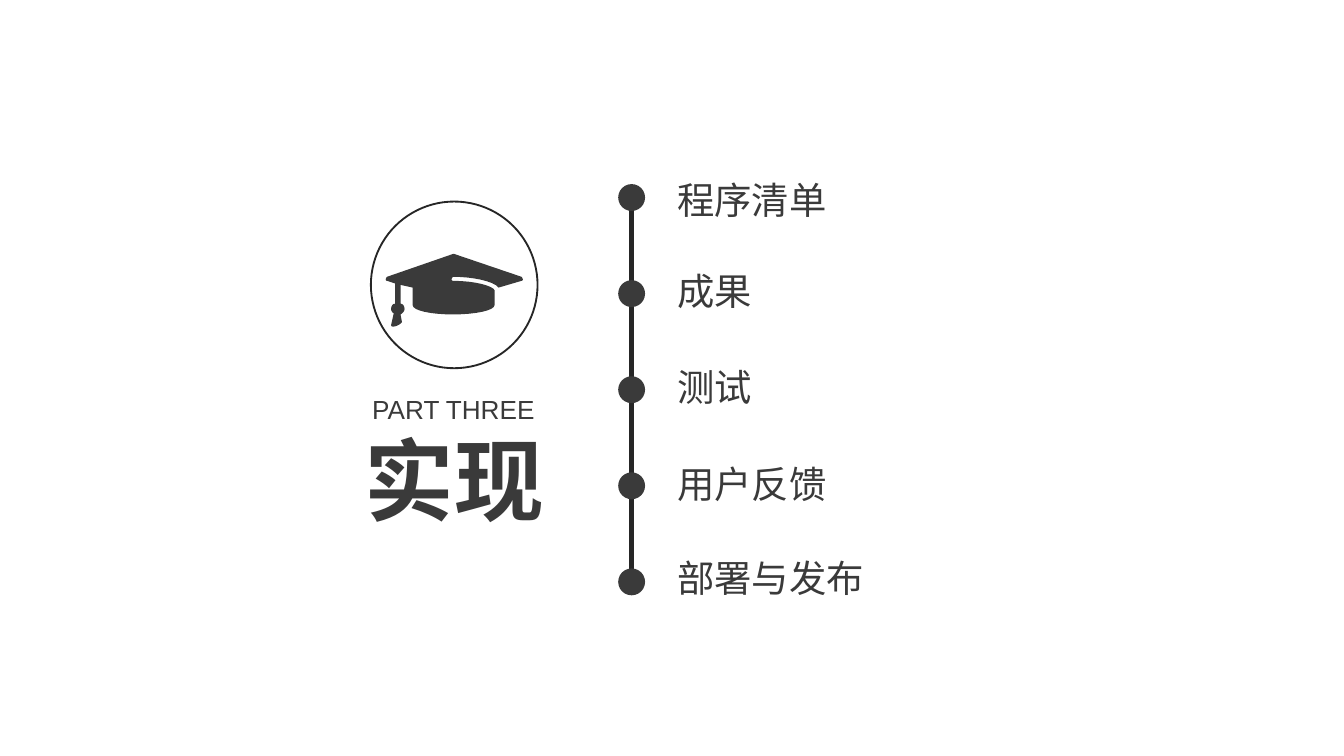
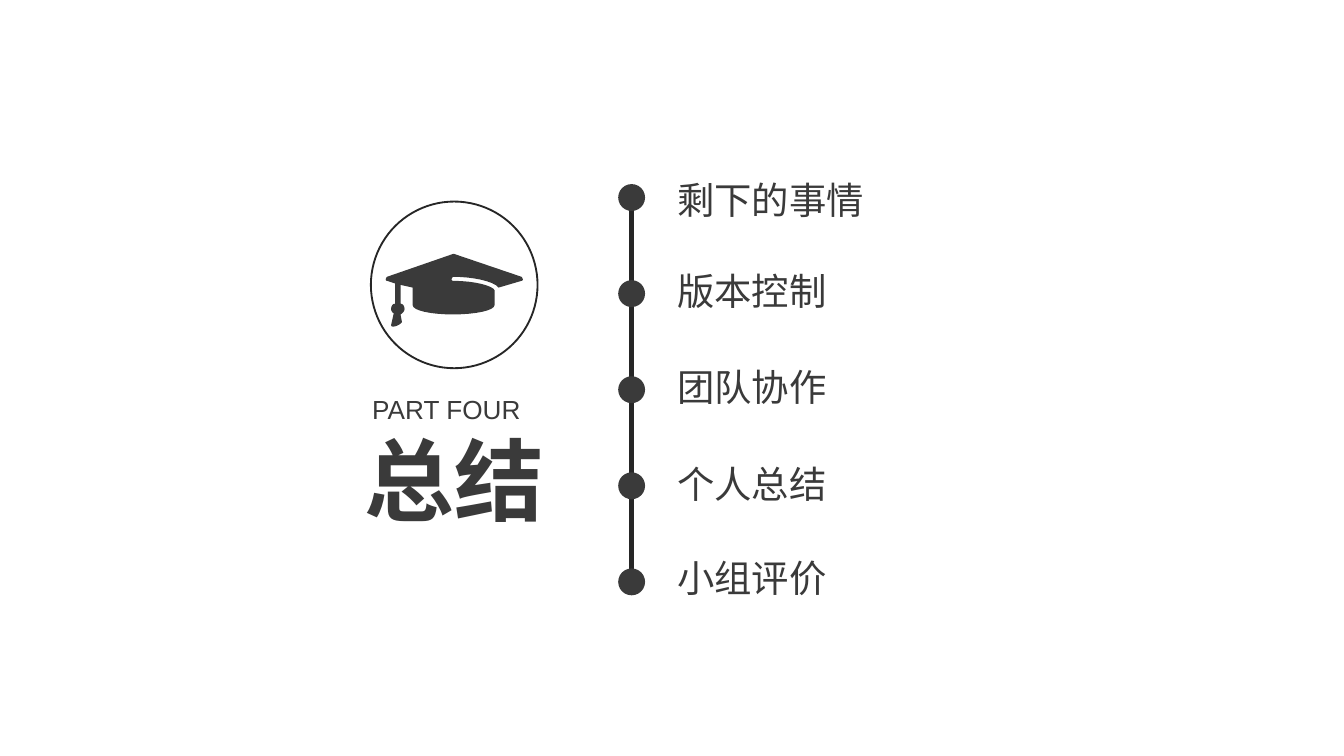
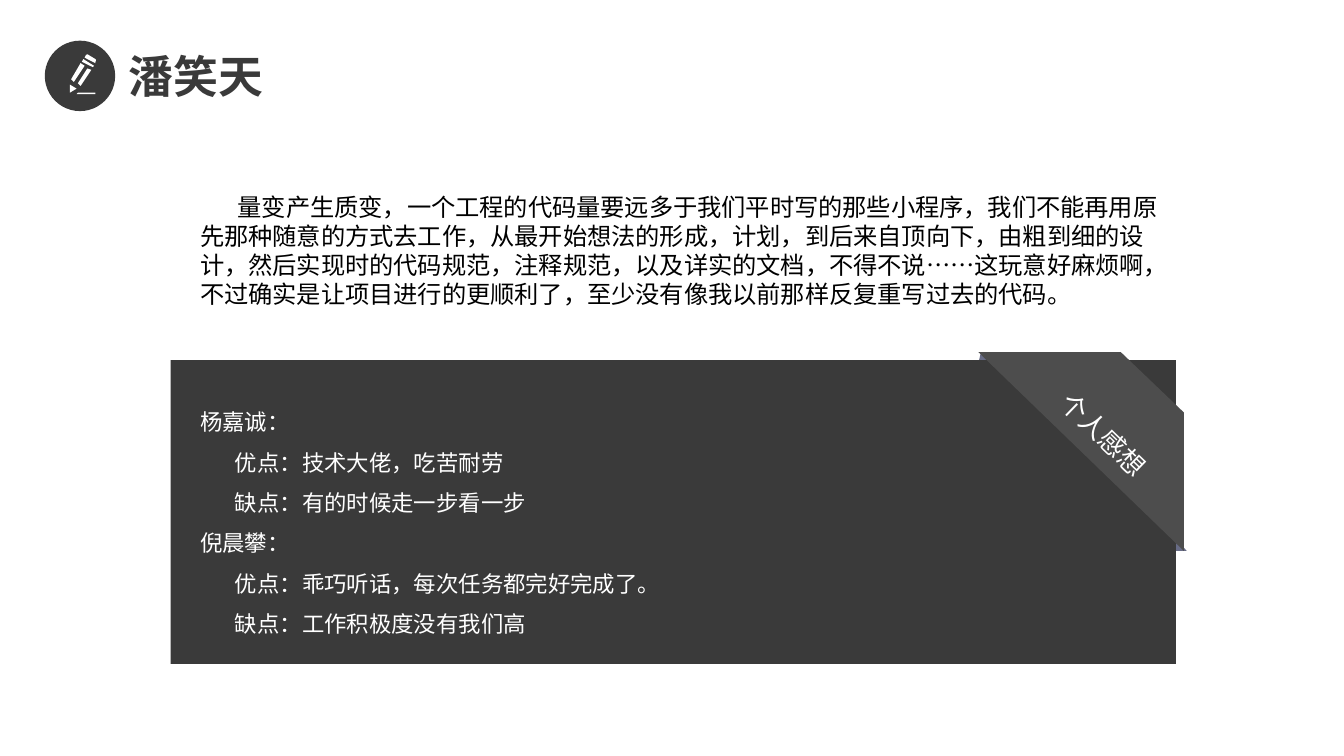
from lxml import etree
from pptx import Presentation
from pptx.dml.color import RGBColor
from pptx.enum.shapes import MSO_CONNECTOR, MSO_SHAPE
from pptx.enum.text import MSO_AUTO_SIZE, PP_ALIGN
from pptx.oxml.ns import qn
from pptx.util import Inches, Pt

ELLIPSE = MSO_SHAPE.OVAL
RECTANGLE = MSO_SHAPE.RECTANGLE
STRAIGHT = MSO_CONNECTOR.STRAIGHT
CENTER = PP_ALIGN.CENTER
JUSTIFY = PP_ALIGN.JUSTIFY
FIT_SHAPE = MSO_AUTO_SIZE.SHAPE_TO_FIT_TEXT

DARK = RGBColor(0x3A, 0x3A, 0x3A)
OUTLINE = RGBColor(0x26, 0x26, 0x26)
RIBBON = RGBColor(0x4D, 0x4D, 0x4D)
FOLD = RGBColor(0x68, 0x6C, 0x86)
WHITE = RGBColor(0xFF, 0xFF, 0xFF)
BLACK = RGBColor(0, 0, 0)
LATIN_FONT = "Arial"
CHINESE_FONT = "Noto Sans CJK SC"

SECTIONS = [
    ("PART THREE", "实现", ["程序清单", "成果", "测试", "用户反馈", "部署与发布"]),
    ("PART FOUR", "总结", ["剩下的事情", "版本控制", "团队协作", "个人总结", "小组评价"]),
]
TOPIC_TOPS = [1.27, 1.95, 2.66, 3.38, 4.08]
DOT_FIRST_TOP, DOT_LAST_TOP, DOT_SIZE = 1.37, 4.23, 0.2
TOPIC_LEFT, CHARACTER_WIDTH, SIDE_INSETS = 4.94, 0.28, 0.2

AUTHOR = "潘笑天"
REFLECTION = (
    "量变产生质变，一个工程的代码量要远多于我们平时写的那些小程序，我们不能再用原先那种随意的方式去工作，"
    "从最开始想法的形成，计划，到后来自顶向下，由粗到细的设计，然后实现时的代码规范，注释规范，"
    "以及详实的文档，不得不说……这玩意好麻烦啊，不过确实是让项目进行的更顺利了，"
    "至少没有像我以前那样反复重写过去的代码。"
)
RIBBON_LABEL = "个人感想"
REVIEWS = [
    ("杨嘉诚：", ["优点：技术大佬，吃苦耐劳", "缺点：有的时候走一步看一步"]),
    ("倪晨攀：", ["优点：乖巧听话，每次任务都完好完成了。", "缺点：工作积极度没有我们高"]),
]

CAP = [[
    (2.88, 2.06), (3.37, 1.89), (3.38, 1.89), (3.88, 2.06),
    (3.88, 2.06, 3.89, 2.07, 3.89, 2.08), (3.89, 2.09, 3.88, 2.09, 3.88, 2.09),
    (3.71, 2.14), (3.67, 2.09, 3.51, 2.06, 3.37, 2.06),
    (3.37, 2.06, 3.36, 2.07, 3.36, 2.08), (3.36, 2.09, 3.37, 2.09, 3.37, 2.09),
    (3.54, 2.09, 3.67, 2.13, 3.68, 2.16), (3.68, 2.27),
    (3.68, 2.31, 3.54, 2.34, 3.37, 2.34), (3.2, 2.34, 3.07, 2.31, 3.07, 2.27),
    (3.07, 2.14), (2.98, 2.12), (2.98, 2.26),
    (3, 2.26, 3.01, 2.28, 3.01, 2.3), (3.01, 2.31, 3, 2.33, 2.98, 2.34),
    (2.99, 2.39), (3, 2.41, 2.91, 2.45, 2.91, 2.42), (2.93, 2.33),
    (2.92, 2.33, 2.91, 2.31, 2.91, 2.3), (2.91, 2.28, 2.92, 2.26, 2.94, 2.26),
    (2.94, 2.11), (2.88, 2.09),
    (2.88, 2.09, 2.87, 2.09, 2.87, 2.08), (2.87, 2.07, 2.88, 2.06, 2.88, 2.06),
]]
PENCIL = [
    [(0.64, 0.41), (0.64, 0.41, 0.65, 0.4, 0.66, 0.41), (0.71, 0.44),
     (0.71, 0.44, 0.72, 0.45, 0.71, 0.46), (0.71, 0.47), (0.63, 0.43)],
    [(0.62, 0.44), (0.61, 0.46), (0.69, 0.5), (0.7, 0.49)],
    [(0.52, 0.69), (0.52, 0.63), (0.57, 0.66)],
    [(0.53, 0.59), (0.6, 0.47), (0.63, 0.49), (0.55, 0.61)],
    [(0.58, 0.62), (0.65, 0.51), (0.68, 0.52), (0.6, 0.64)],
    [(0.58, 0.69), (0.71, 0.69), (0.71, 0.7), (0.58, 0.7), (0.57, 0.7)],
]
RIBBON_FOLDS = [
    [[(8.83, 4.1), (8.71, 4.1), (8.71, 3.96)]],
    [[(7.3, 2.62), (7.28, 2.7), (7.41, 2.7)]],
]
RIBBON_BAND = [[(7.28, 2.62), (8.81, 4.1), (8.81, 3.07), (8.34, 2.62)]]
CURVE_STEPS = 8


def paint(shape, fill=None, line=None):
    shape.shadow.inherit = False
    if fill is None:
        shape.fill.background()
    else:
        shape.fill.solid()
        shape.fill.fore_color.rgb = fill
    if line is None:
        shape.line.fill.background()
    else:
        shape.line.color.rgb = line
        shape.line.width = Pt(1)


def add_preset(slide, kind, box, fill=None, line=None):
    shape = slide.shapes.add_shape(kind, *map(Inches, box))
    paint(shape, fill, line)


def trace(outline):
    points = [outline[0]]
    for segment in outline[1:]:
        if len(segment) == 2:
            points.append(segment)
            continue
        controls = [points[-1], segment[:2], segment[2:4], segment[4:]]
        for step in range(1, CURVE_STEPS + 1):
            t = step / CURVE_STEPS
            weights = ((1 - t) ** 3, 3 * t * (1 - t) ** 2, 3 * t * t * (1 - t), t ** 3)
            points.append(tuple(
                sum(weight * control[axis] for weight, control in zip(weights, controls))
                for axis in (0, 1)
            ))
    return [(Inches(x), Inches(y)) for x, y in points]


def add_outlines(slide, outlines, fill):
    contours = [trace(outline) for outline in outlines]
    builder = slide.shapes.build_freeform(*contours[0][0])
    for index, points in enumerate(contours):
        if index:
            builder.move_to(*points[0])
        builder.add_line_segments(points[1:], close=True)
    paint(builder.convert_to_shape(), fill)


def add_text(slide, box, text, size, color, font=LATIN_FONT, bold=False,
             align=None, wrap=True, spacing=None):
    shape = slide.shapes.add_textbox(*map(Inches, box))
    frame = shape.text_frame
    frame.text = text
    frame.word_wrap = wrap
    frame.auto_size = FIT_SHAPE
    for paragraph in frame.paragraphs:
        paragraph.alignment = align
        paragraph.line_spacing = spacing
        for run in paragraph.runs:
            run.font.name = font
            run.font.size = Pt(size)
            run.font.bold = bold
            run.font.color.rgb = color
    return shape


def set_paragraph(paragraph, attribute, value):
    paragraph._p.get_or_add_pPr().set(attribute, str(value))


def add_timeline(slide, topics):
    axis = slide.shapes.add_connector(
        STRAIGHT, Inches(4.7), Inches(1.39), Inches(4.7), Inches(4.33))
    axis.line.color.rgb = OUTLINE
    axis.line.width = Pt(3)
    etree.SubElement(axis._element.spPr, qn("a:effectLst"))
    dot_step = (DOT_LAST_TOP - DOT_FIRST_TOP) / (len(topics) - 1)
    for index, (topic, top) in enumerate(zip(topics, TOPIC_TOPS)):
        dot_top = DOT_FIRST_TOP + index * dot_step
        add_preset(slide, ELLIPSE, (4.6, dot_top, DOT_SIZE, DOT_SIZE), DARK)
        width = SIDE_INSETS + CHARACTER_WIDTH * len(topic)
        add_text(slide, (TOPIC_LEFT, top, width, 0.44), topic, 20, DARK,
                 CHINESE_FONT, wrap=False)


def add_section_slide(slide, part, title, topics):
    add_preset(slide, ELLIPSE, (2.76, 1.5, 1.24, 1.24), line=OUTLINE)
    add_outlines(slide, CAP, DARK)
    add_text(slide, (2.58, 3.11, 1.6, 0.91), title, 48, DARK, bold=True, align=CENTER)
    add_text(slide, (2.67, 2.88, 1.42, 0.34), part, 14, DARK)
    add_timeline(slide, topics)


def add_reviews(slide):
    lines = [line for name, remarks in REVIEWS for line in (name, *remarks)]
    names = [name for name, _ in REVIEWS]
    shape = add_text(slide, (1.39, 2.89, 6.71, 1.92), "\n".join(lines), 12, WHITE,
                     CHINESE_FONT, align=JUSTIFY, spacing=1.5)
    for paragraph in shape.text_frame.paragraphs:
        if paragraph.text not in names:
            set_paragraph(paragraph, "marL", Inches(0.26))


def add_reflection_slide(slide):
    reflection = add_text(slide, (1.39, 1.38, 7.43, 0.98), REFLECTION, 13, BLACK)
    paragraph = reflection.text_frame.paragraphs[0]
    set_paragraph(paragraph, "indent", Inches(0.28))
    set_paragraph(paragraph, "hangingPunct", 0)
    for fold in RIBBON_FOLDS:
        add_outlines(slide, fold, FOLD)
    add_preset(slide, RECTANGLE, (1.27, 2.68, 7.48, 2.26), DARK)
    add_reviews(slide)
    add_outlines(slide, RIBBON_BAND, RIBBON)
    label = add_text(slide, (7.72, 3.07, 0.99, 0.34), RIBBON_LABEL, 14, WHITE,
                     CHINESE_FONT, wrap=False)
    label.fill.solid()
    label.fill.fore_color.rgb = RIBBON
    label.rotation = 44
    add_text(slide, (0.86, 0.31, 2.36, 0.51), AUTHOR, 24, DARK, bold=True)
    add_preset(slide, ELLIPSE, (0.34, 0.31, 0.51, 0.51), DARK, DARK)
    add_outlines(slide, PENCIL, WHITE)


def main():
    presentation = Presentation()
    presentation.slide_width = Inches(10)
    presentation.slide_height = presentation.slide_width * 9 // 16
    blank = presentation.slide_layouts[6]
    for section in SECTIONS:
        add_section_slide(presentation.slides.add_slide(blank), *section)
    add_reflection_slide(presentation.slides.add_slide(blank))
    presentation.save("out.pptx")


if __name__ == "__main__":
    main()
